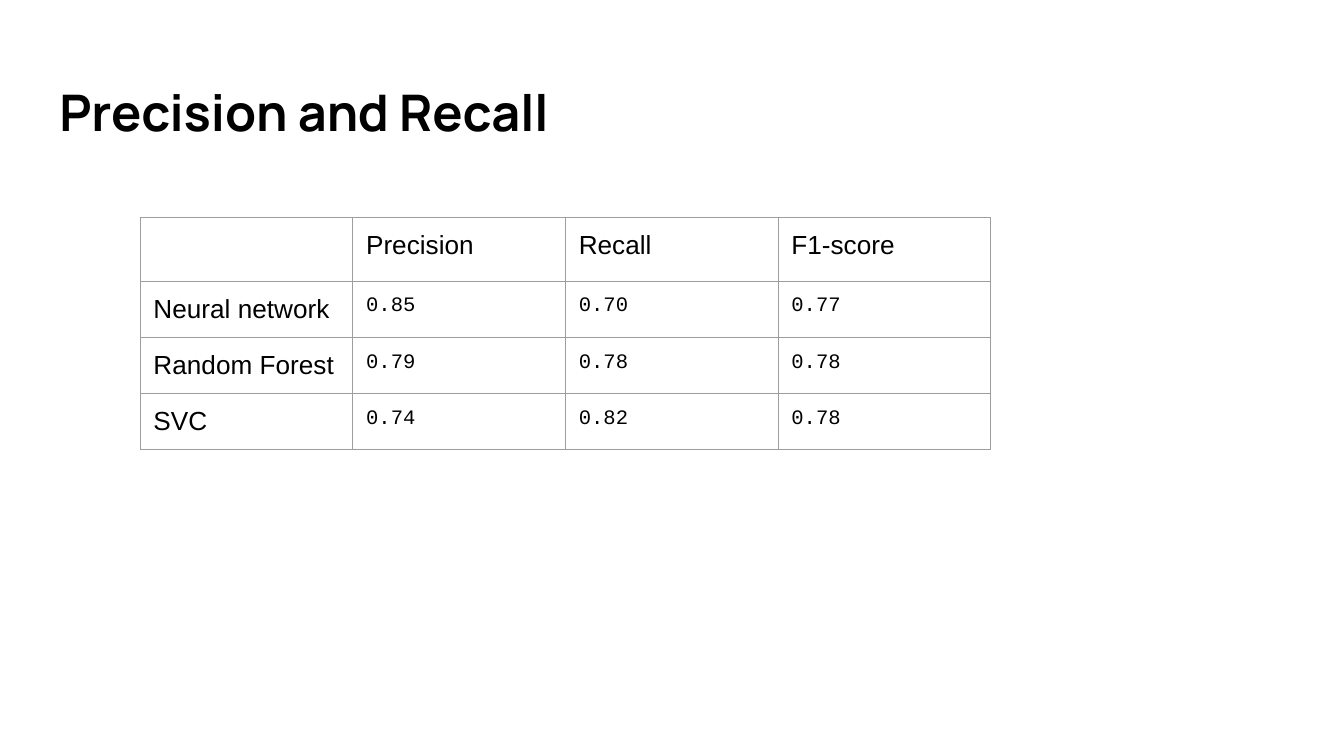
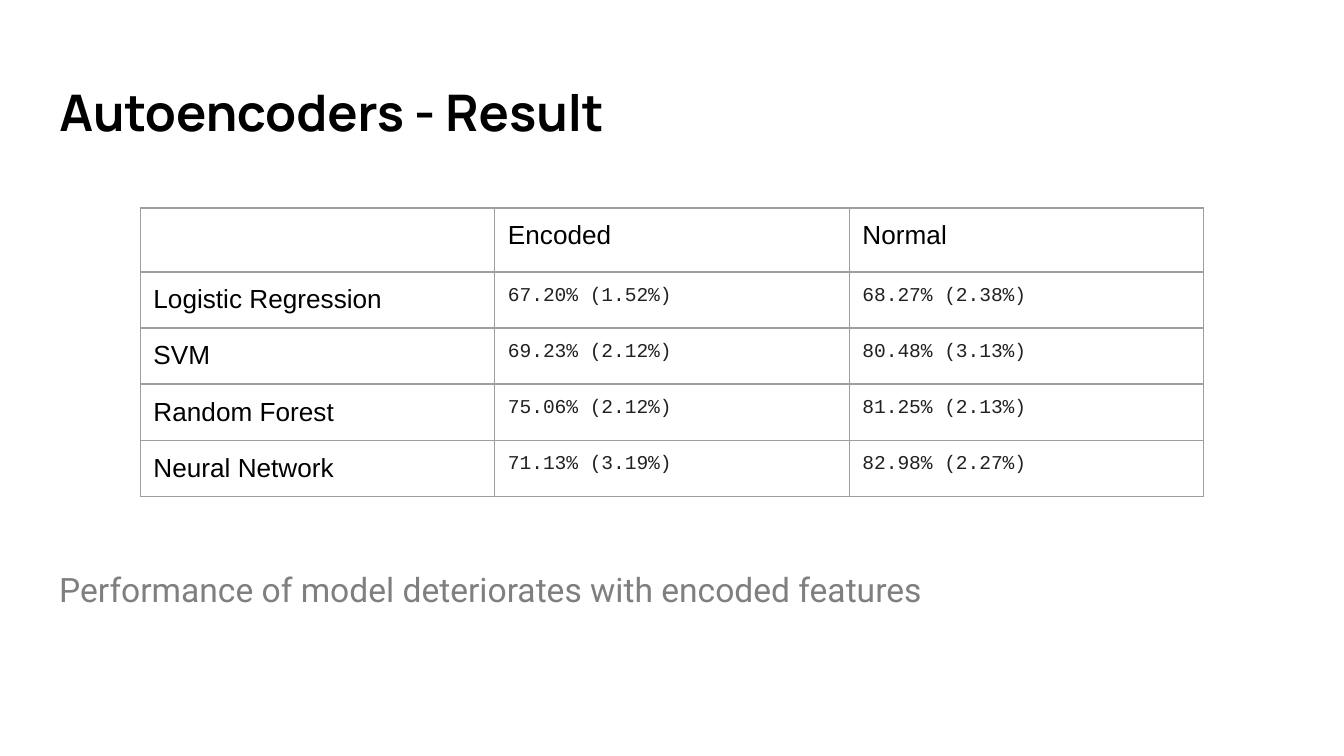
from lxml.etree import SubElement
from pptx import Presentation
from pptx.dml.color import RGBColor
from pptx.enum.text import MSO_ANCHOR, MSO_AUTO_SIZE, PP_ALIGN
from pptx.oxml.ns import qn
from pptx.util import Cm, Pt

BLACK = RGBColor(0x00, 0x00, 0x00)
WHITE = RGBColor(0xFF, 0xFF, 0xFF)
CHARCOAL = RGBColor(0x21, 0x21, 0x21)
GREY = RGBColor(0x7F, 0x7F, 0x7F)
BORDER = RGBColor(0x9E, 0x9E, 0x9E)

INSET = Cm(0.25)
TITLE_BOX = (Cm(0.87), Cm(1.24), Cm(23.67), Cm(1.73))
CONCLUSION_BOX = (Cm(0.87), Cm(10.39), Cm(23.67), Cm(2.64))
TABLE_LEFT = Cm(2.65)
HEADER_HEIGHT = Cm(1.21)
ROW_HEIGHT = Cm(1.06)
LABEL_SIZE = Pt(14)

SCORES = [
    ["", "Precision", "Recall", "F1-score"],
    ["Neural network", "0.85", "0.70", "0.77"],
    ["Random Forest", "0.79", "0.78", "0.78"],
    ["SVC", "0.74", "0.82", "0.78"],
]
ACCURACIES = [
    ["", "Encoded", "Normal"],
    ["Logistic Regression", "67.20% (1.52%)", "68.27% (2.38%)"],
    ["SVM", "69.23% (2.12%)", "80.48% (3.13%)"],
    ["Random Forest", "75.06% (2.12%)", "81.25% (2.13%)"],
    ["Neural Network", "71.13% (3.19%)", "82.98% (2.27%)"],
]


def set_insets(target):
    """Give a text frame or table cell the shared inner margins."""
    target.margin_left = target.margin_right = INSET
    target.margin_top = target.margin_bottom = INSET


def format_runs(para, font, size, color, bold=False):
    """Apply one character style to every run of a paragraph."""
    for span in para.runs:
        span.font.name = font
        span.font.size = size
        span.font.color.rgb = color
        span.font.bold = bold


def fill_text_box(shape, text, anchor):
    """Write left-aligned, wrapped text into a shape and return its paragraph."""
    frame = shape.text_frame
    frame.text = text
    frame.word_wrap = True
    frame.auto_size = MSO_AUTO_SIZE.NONE
    frame.vertical_anchor = anchor
    set_insets(frame)
    para = frame.paragraphs[0]
    para.alignment = PP_ALIGN.LEFT
    return para


def add_page(deck, title):
    """Add a white page with the shared title style."""
    page = deck.slides.add_slide(deck.slide_layouts[5])
    page.background.fill.solid()
    page.background.fill.fore_color.rgb = WHITE
    heading = page.shapes.title
    heading.left, heading.top, heading.width, heading.height = TITLE_BOX
    para = fill_text_box(heading, title, MSO_ANCHOR.MIDDLE)
    format_runs(para, "Manrope", Pt(27), BLACK, bold=True)
    return page


def add_borders(cell):
    """Draw a thin line on all four sides of a cell."""
    properties = cell._tc.get_or_add_tcPr()
    for side in ("a:lnL", "a:lnR", "a:lnT", "a:lnB"):
        line = SubElement(properties, qn(side), w=str(Pt(0.75)))
        fill = SubElement(line, qn("a:solidFill"))
        SubElement(fill, qn("a:srgbClr"), val=str(BORDER))


def format_cell(cell, text, font, size, color):
    """Write and style one bordered table cell."""
    set_insets(cell)
    add_borders(cell)
    cell.fill.solid()
    cell.fill.fore_color.rgb = WHITE
    para = cell.text_frame.paragraphs[0]
    if text:
        para.text = text
        format_runs(para, font, size, color)
    else:
        SubElement(para._p, qn("a:endParaRPr"), sz=str(int(size.pt * 100)))


def add_result_table(page, rows, top, column_width, value_size, value_color):
    """Add a table of equal columns with labels in the first row and column."""
    column_count = len(rows[0])
    height = HEADER_HEIGHT + ROW_HEIGHT * (len(rows) - 1)
    table = page.shapes.add_table(
        len(rows), column_count, TABLE_LEFT, top, column_width * column_count, height
    ).table
    table.first_row = table.horz_banding = False
    for column in table.columns:
        column.width = column_width
    for row_index, texts in enumerate(rows):
        table.rows[row_index].height = ROW_HEIGHT if row_index else HEADER_HEIGHT
        for column_index, text in enumerate(texts):
            if row_index and column_index:
                style = ("Courier New", value_size, value_color)
            else:
                style = ("Arial", LABEL_SIZE, BLACK)
            format_cell(table.cell(row_index, column_index), text, *style)


def add_conclusion(page, text):
    """Add the grey closing statement below a table."""
    box = page.shapes.add_textbox(*CONCLUSION_BOX)
    para = fill_text_box(box, text, MSO_ANCHOR.TOP)
    para.line_spacing = 1.15
    para.space_after = Pt(12)
    format_runs(para, "Roboto", Pt(18), GREY)


def main():
    """Build and save the deck."""
    deck = Presentation()
    deck.slide_width, deck.slide_height = Cm(25.4), Cm(14.29)

    page = add_page(deck, "Precision and Recall")
    add_result_table(page, SCORES, Cm(4.11), Cm(4.02), Pt(11), BLACK)

    page = add_page(deck, "Autoencoders - Result")
    add_conclusion(page, "Performance of model deteriorates with encoded features")
    add_result_table(page, ACCURACIES, Cm(3.93), Cm(6.7), Pt(10.5), CHARCOAL)

    deck.save("out.pptx")


if __name__ == "__main__":
    main()
